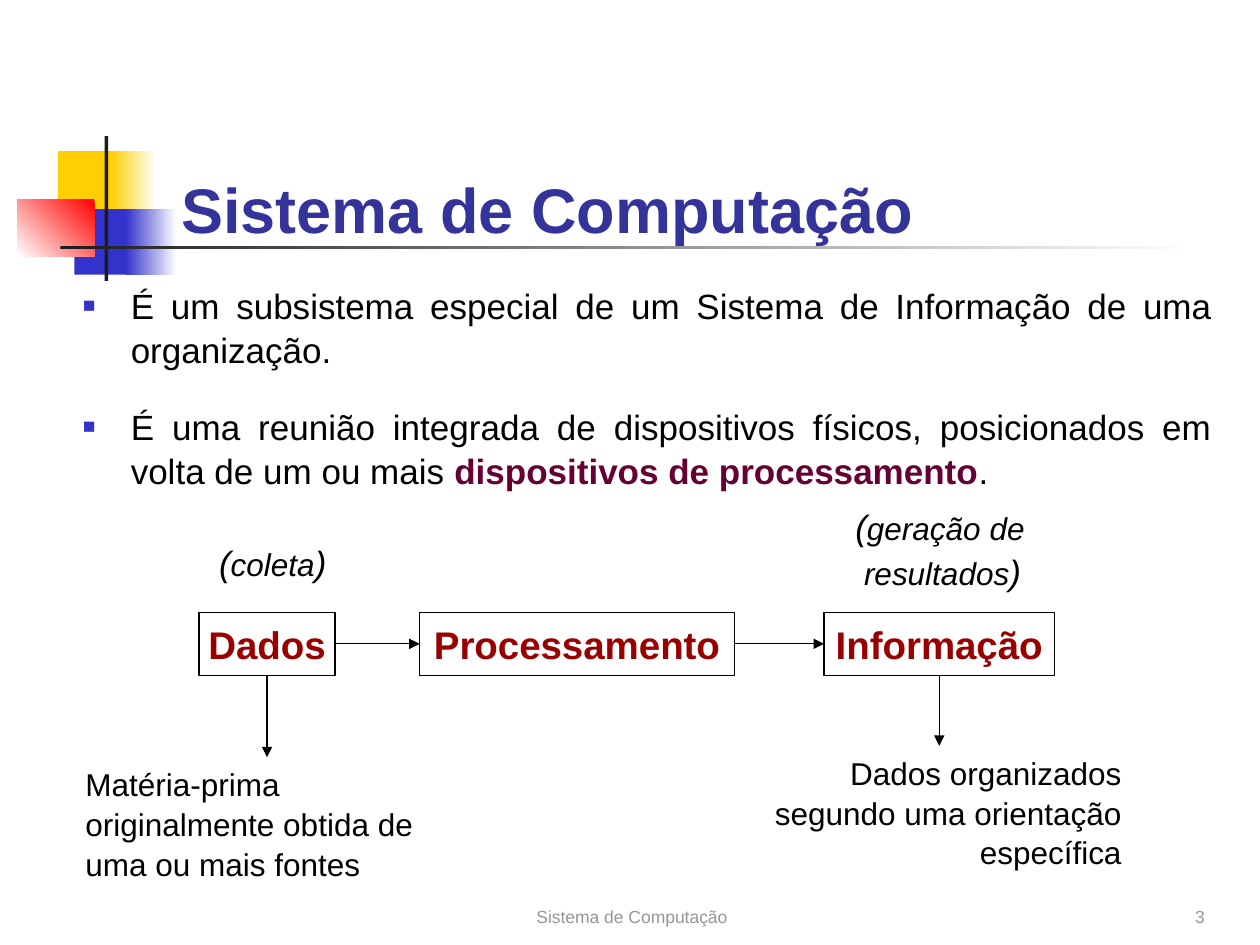
"""Build a slide on computing systems: two bullets and a data flow diagram."""
from lxml import etree
from pptx import Presentation
from pptx.dml.color import RGBColor
from pptx.enum.shapes import MSO_CONNECTOR, MSO_SHAPE
from pptx.enum.text import MSO_ANCHOR, PP_ALIGN
from pptx.oxml.ns import qn
from pptx.util import Inches, Pt

LEFT, MID, RIGHT, JUST = PP_ALIGN.LEFT, PP_ALIGN.CENTER, PP_ALIGN.RIGHT, PP_ALIGN.JUSTIFY
TOP, CENTER, BOTTOM = MSO_ANCHOR.TOP, MSO_ANCHOR.MIDDLE, MSO_ANCHOR.BOTTOM
RECT, STRAIGHT = MSO_SHAPE.RECTANGLE, MSO_CONNECTOR.STRAIGHT

HEX = {
    "white": "FFFFFF", "black": "000000", "gold": "FFCF01", "blue": "3333CC",
    "red": "FF0000", "ink": "1C1C1C", "gray": "969696", "navy": "333399",
    "wine": "660033", "brick": "990000",
}
FONT = "Arial"
TITLE = "Sistema de Computação"

DECOR = [
    ((0.46, 1.2, 0.48, 0.52), "gold", None, 0),
    ((0.88, 1.2, 0.36, 0.52), "gold", "white", 0),
    ((0.59, 1.66, 0.46, 0.52), "blue", None, 0),
    ((1, 1.66, 0.4, 0.52), "blue", "white", 0),
    ((0.14, 1.58, 0.61, 0.46), "red", "white", 225),
    ((0.83, 1.08, 0.03, 1.15), "ink", None, 0),
    ((0.48, 1.95, 9, 0.03), "ink", "white", 0),
]
POINTS = [
    [("É um subsistema especial de um Sistema de Informação de uma organização.", {})],
    [("É uma reunião integrada de dispositivos físicos, posicionados em volta de um ou mais ", {}),
     ("dispositivos de processamento", {"color": "wine", "bold": True}),
     (".", {})],
]
STEPS = [("Dados", 1.58, 1.08), ("Processamento", 3.33, 2.5), ("Informação", 6.54, 1.83)]
STEP_TOP, STEP_HIGH = 4.86, 0.5
BIG, SMALL = {"size": 20, "italic": True}, {"size": 18, "italic": True}
HINTS = [
    ((1.64, 4.23, 1.05, 0.44), [[("(", BIG), ("coleta", SMALL), (")", BIG)]]),
    ((6.69, 3.95, 1.54, 0.77), [[("(", BIG), ("geração de", SMALL)],
                                [(" resultados", SMALL), (")", BIG)]]),
]
NOTES = [
    (0, (0.58, 6.01, 3.08, 1), LEFT, "Matéria-prima originalmente obtida de uma ou mais fontes"),
    (2, (5.9, 5.92, 3.1, 1), RIGHT, "Dados organizados segundo uma orientação específica"),
]
FOOT = [((3.43, 7.13, 3.17, 0.28), MID, TITLE), ((7.58, 7.13, 2.08, 0.28), RIGHT, "3")]


def tint(name):
    return RGBColor.from_string(HEX[name])


def place(at):
    return [Inches(n) for n in at]


def style(font, size=18, color="black", bold=False, italic=False):
    font.name, font.size = FONT, Pt(size)
    font.bold, font.italic = bold, italic
    font.color.rgb = tint(color)


def write(frame, rows, align=LEFT, anchor=TOP, wrap=True, space=1.05, **base):
    frame.word_wrap, frame.vertical_anchor = wrap, anchor
    for i, row in enumerate(rows):
        para = frame.paragraphs[0] if i == 0 else frame.add_paragraph()
        para.alignment, para.line_spacing = align, space
        for text, look in row:
            run = para.add_run()
            run.text = text
            style(run.font, **{**base, **look})


def add_text(slide, at, rows, **look):
    frame = slide.shapes.add_textbox(*place(at)).text_frame
    write(frame, rows, **look)
    return frame


def add_decor(slide, at, first, last, angle):
    shape = slide.shapes.add_shape(RECT, *place(at))
    shape.shadow.inherit = False
    shape.line.fill.background()
    if last is None:
        shape.fill.solid()
        shape.fill.fore_color.rgb = tint(first)
        return
    shape.fill.gradient()
    shape.fill.gradient_angle = angle
    for stop, name in zip(shape.fill.gradient_stops, (first, last)):
        stop.color.rgb = tint(name)


def add_bullet(para):
    props = para._p.get_or_add_pPr()
    props.set("marL", str(Inches(0.38)))
    props.set("indent", str(-Inches(0.38)))
    shade = etree.SubElement(props, qn("a:buClr"))
    etree.SubElement(shade, qn("a:srgbClr"), val=HEX["blue"])
    etree.SubElement(props, qn("a:buSzPct"), val="60000")
    etree.SubElement(props, qn("a:buFont"), typeface=FONT)
    etree.SubElement(props, qn("a:buChar"), char="■")


def add_step(slide, text, left, wide):
    box = slide.shapes.add_shape(RECT, *place((left, STEP_TOP, wide, STEP_HIGH)))
    box.shadow.inherit = False
    box.fill.background()
    box.line.color.rgb, box.line.width = tint("black"), Pt(0.75)
    write(box.text_frame, [[(text, {})]], align=MID, anchor=CENTER, wrap=False,
          space=1, size=22, color="brick", bold=True)
    return box


def add_arrow(slide, box, side, end):
    line = slide.shapes.add_connector(STRAIGHT, 0, 0, *end)
    line.begin_connect(box, side)
    line.line.color.rgb, line.line.width = tint("black"), Pt(0.75)
    etree.SubElement(line.line._get_or_add_ln(), qn("a:tailEnd"), type="triangle")
    etree.SubElement(line._element.spPr, qn("a:effectLst"))
    return line


def main():
    deck = Presentation()
    deck.slide_width, deck.slide_height = Inches(10), Inches(7.5)
    slide = deck.slides.add_slide(deck.slide_layouts[5])
    for item in DECOR:
        add_decor(slide, *item)

    title = slide.shapes.title
    title.left, title.top, title.width, title.height = place((1.34, 1.01, 8.52, 1.25))
    write(title.text_frame, [[(TITLE, {})]], anchor=CENTER,
          size=36, color="navy", bold=True)

    body = add_text(slide, (0.56, 2.19, 9.16, 1.8), POINTS, align=JUST, size=20)
    for i, para in enumerate(body.paragraphs):
        para.space_before = Pt(19 if i else 0)
        add_bullet(para)

    boxes = [add_step(slide, *step) for step in STEPS]
    for box, after in zip(boxes, boxes[1:]):
        add_arrow(slide, box, 3, (after.left, after.top)).end_connect(after, 1)
    for index, at, align, text in NOTES:
        add_text(slide, at, [[(text, {})]], align=align)
        box = boxes[index]
        add_arrow(slide, box, 2, (box.left + box.width // 2, Inches(at[1])))
    for at, rows in HINTS:
        add_text(slide, at, rows, wrap=False)
    for at, align, text in FOOT:
        add_text(slide, at, [[(text, {})]], align=align, anchor=BOTTOM,
                 size=10, color="gray")
    deck.save("out.pptx")


if __name__ == "__main__":
    main()
